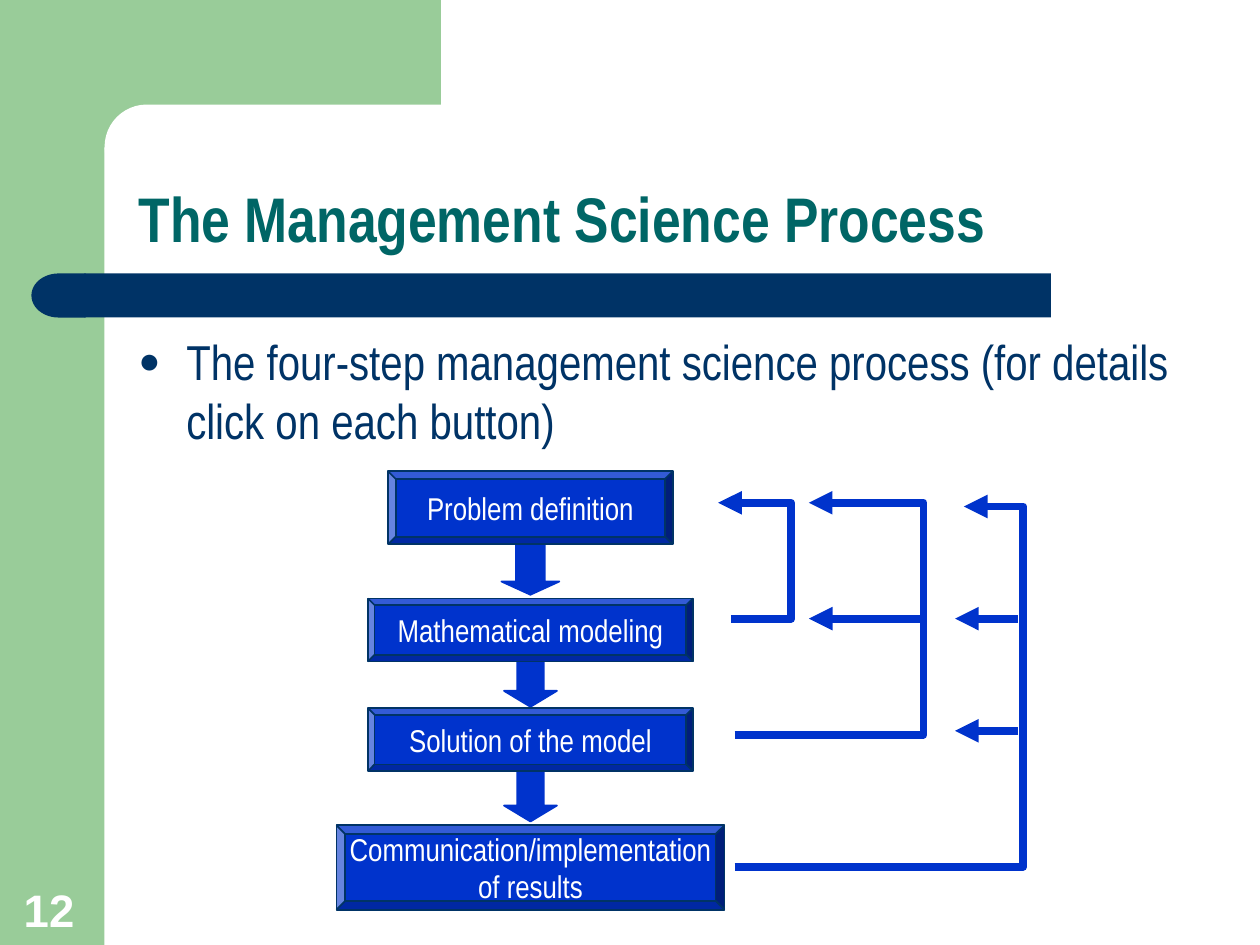
from lxml import etree
from pptx import Presentation
from pptx.dml.color import RGBColor
from pptx.enum.shapes import MSO_CONNECTOR, MSO_SHAPE
from pptx.enum.text import MSO_ANCHOR, MSO_AUTO_SIZE, PP_ALIGN
from pptx.oxml.ns import qn
from pptx.util import Inches, Pt

RECT, ROUND = MSO_SHAPE.RECTANGLE, MSO_SHAPE.ROUNDED_RECTANGLE
DELAY, DOWN, BEVEL = MSO_SHAPE.FLOWCHART_DELAY, MSO_SHAPE.DOWN_ARROW, MSO_SHAPE.BEVEL
STRAIGHT = MSO_CONNECTOR.STRAIGHT
MIDDLE, BOTTOM = MSO_ANCHOR.MIDDLE, MSO_ANCHOR.BOTTOM
LEFT, CENTER = PP_ALIGN.LEFT, PP_ALIGN.CENTER
NO_FIT = MSO_AUTO_SIZE.NONE

THEME = {
    "green": RGBColor(0x99, 0xCC, 0x99),
    "white": RGBColor(0xFF, 0xFF, 0xFF),
    "navy": RGBColor(0x00, 0x33, 0x66),
    "teal": RGBColor(0x00, 0x66, 0x66),
    "blue": RGBColor(0x00, 0x33, 0xCC),
    "font": "Arial Narrow",
    "number font": "Arial",
    "title": Pt(36),
    "body": Pt(28),
    "step": Pt(18),
    "number": Pt(26),
    "edge": Pt(1),
    "loop": Pt(4.5),
}

deck = Presentation()
deck.slide_width, deck.slide_height = Inches(10), Inches(7.5)
slide = deck.slides.add_slide(deck.slide_layouts[5])
shapes = slide.shapes


def add_block(kind, box, color, edge=None, adjust=()):
    block = shapes.add_shape(kind, *[Inches(v) for v in box])
    block.shadow.inherit = False
    block.fill.solid()
    block.fill.fore_color.rgb = THEME[color]
    if edge:
        block.line.color.rgb = THEME[edge]
        block.line.width = THEME["edge"]
    else:
        block.line.fill.background()
    for i, value in enumerate(adjust):
        block.adjustments[i] = value
    return block


def add_run(para, text, size, color, font="font", bold=False):
    run = para.add_run()
    run.text = text
    run.font.name = THEME[font]
    run.font.size = THEME[size]
    run.font.color.rgb = THEME[color]
    run.font.bold = bold


# Green frame with a rounded inner corner, and the navy bar
add_block(RECT, (0, 0, 0.83, 7.5), "green")
add_block(RECT, (0.75, 0, 2.75, 1.17), "green")
add_block(ROUND, (0.83, 0.83, 5.58, 0.67), "white", adjust=[0.5])
add_block(RECT, (0.67, 2.17, 7.67, 0.35), "navy")
cap = add_block(DELAY, (0.25, 2.17, 0.43, 0.35), "navy")
cap._element.spPr.find(qn("a:xfrm")).set("flipH", "1")

# Title, brought in front of the frame
title = shapes.title
shapes._spTree.append(title._element)
title.left, title.top = Inches(1), Inches(0.83)
title.width, title.height = Inches(8.75), Inches(1.25)
frame = title.text_frame
frame.auto_size = NO_FIT
frame.vertical_anchor = BOTTOM
para = frame.paragraphs[0]
para.alignment = LEFT
para.line_spacing = 0.9
add_run(para, "The Management Science Process", "title", "teal", bold=True)

# Bullet text
body = shapes.add_textbox(Inches(1), Inches(2.58), Inches(8.75), Inches(1.04))
frame = body.text_frame
frame.word_wrap = True
para = frame.paragraphs[0]
props = para._p.get_or_add_pPr()
props.set("marL", str(Inches(0.38)))
props.set("indent", str(-Inches(0.38)))
tint = etree.SubElement(props, qn("a:buClr"))
etree.SubElement(tint, qn("a:srgbClr")).set("val", str(THEME["navy"]))
etree.SubElement(props, qn("a:buSzPct")).set("val", "75000")
etree.SubElement(props, qn("a:buFont")).set("typeface", "Arial")
etree.SubElement(props, qn("a:buChar")).set("char", "●")
add_run(para, "The four-step management science process (for details click on each button)",
        "body", "navy")

# Arrows between the steps
mid = 4.21
for top, width, height, head in [(4.3, 0.46, 0.42, 0.25), (5.11, 0.42, 0.5, 0.3),
                                 (6.02, 0.42, 0.5, 0.3)]:
    add_block(DOWN, (mid - width / 2, top, width, height), "blue", "blue", [0.5, head])

# Step buttons, centred on one axis
steps = [
    (["Problem definition"], 3.74, 2.26, 0.58),
    (["Mathematical modeling"], 4.75, 2.58, 0.5),
    (["Solution of the model"], 5.62, 2.58, 0.5),
    (["Communication/implementation", "of results"], 6.55, 3.08, 0.67),
]
for lines, top, width, height in steps:
    step = add_block(BEVEL, (mid - width / 2, top, width, height), "blue", "navy", [0.105])
    frame = step.text_frame
    frame.word_wrap = False
    frame.vertical_anchor = MIDDLE
    para = frame.paragraphs[0]
    para.alignment = CENTER
    for i, text in enumerate(lines):
        if i:
            para.add_line_break()
        add_run(para, text, "step", "white")

# Feedback loops: start, turn up, and point back to an earlier step
paths = []
for start, low, right, high, end in [(5.8, 4.91, 6.28, 3.99, 5.7),
                                     (5.83, 5.83, 7.33, 3.99, 6.42),
                                     (5.83, 6.88, 8.12, 4.02, 7.65)]:
    pen = shapes.build_freeform(Inches(start), Inches(low))
    pen.add_line_segments([(Inches(right), Inches(low)), (Inches(right), Inches(high)),
                           (Inches(end), Inches(high))], close=False)
    loop = pen.convert_to_shape()
    loop.shadow.inherit = False
    loop.fill.background()
    paths.append(loop)

# Side branches of the loops
for start, end, y in [(7.33, 6.42, 4.91), (8.08, 7.58, 4.91), (8.08, 7.58, 5.8)]:
    branch = shapes.add_connector(STRAIGHT, Inches(start), Inches(y), Inches(end), Inches(y))
    etree.SubElement(branch._element.spPr, qn("a:effectLst"))
    paths.append(branch)

for path in paths:
    path.line.color.rgb = THEME["blue"]
    path.line.width = THEME["loop"]
    etree.SubElement(path.line._get_or_add_ln(), qn("a:tailEnd")).set("type", "triangle")

# Slide number
number = shapes.add_textbox(Inches(0.09), Inches(6.94), Inches(0.64), Inches(0.54))
frame = number.text_frame
frame.word_wrap = True
frame.vertical_anchor = BOTTOM
add_run(frame.paragraphs[0], "12", "number", "white", "number font", True)

deck.save("out.pptx")
